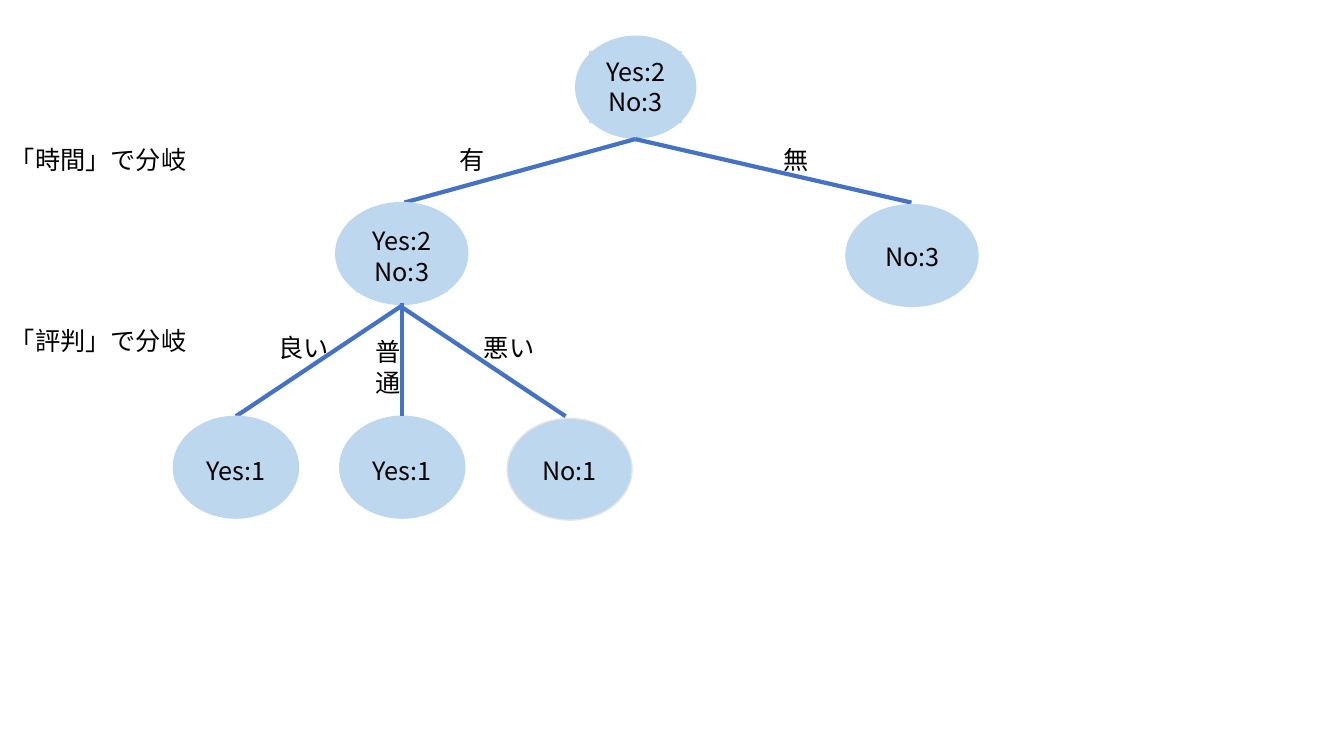
from lxml.etree import SubElement
from pptx import Presentation
from pptx.dml.color import RGBColor
from pptx.enum.shapes import MSO_CONNECTOR as CONN, MSO_SHAPE as SHAPE
from pptx.enum.text import MSO_AUTO_SIZE as FIT, PP_ALIGN as ALIGN
from pptx.oxml.ns import qn
from pptx.util import Emu, Pt

PX = 9144


def px(*lengths):
    return [Emu(n * PX) for n in lengths]


def rgb(value):
    return RGBColor.from_string(value)


class TreeSlide:
    """Draws decision tree elements on one slide in a shared style."""

    font, size, ink = "Noto Sans CJK JP", 18, "000000"
    node_color, branch_color = "BDD7EE", "4472C4"

    def __init__(self, prs):
        self.s = prs.slides.add_slide(prs.slide_layouts[6])

    def paint(self, sp, fill, line, width):
        if fill:
            sp.fill.solid()
            sp.fill.fore_color.rgb = rgb(fill)
        if line:
            sp.line.color.rgb = rgb(line)
            sp.line.width = Pt(width)

    def text(self, box, lines, align=ALIGN.LEFT, shapes=None):
        sp = (shapes or self.s.shapes).add_textbox(*px(*box))
        tf = sp.text_frame
        tf.word_wrap = True
        tf.auto_size = FIT.SHAPE_TO_FIT_TEXT
        tf.text = "\n".join(lines)
        for p in tf.paragraphs:
            p.alignment = align
            p.font.size = Pt(self.size)
            p.font.color.rgb = rgb(self.ink)
            p.font.name = self.font
            SubElement(p.font._element, qn("a:ea")).set("typeface", self.font)
        return sp

    def node(self, box, label_box, lines, outline="BDD7EE",
             label_fill="BDD7EE", label_line="BDD7EE"):
        shapes = self.s.shapes.add_group_shape().shapes
        oval = shapes.add_shape(SHAPE.OVAL, *px(*box))
        oval.shadow.inherit = False
        self.paint(oval, self.node_color, outline, 1)
        label = self.text(label_box, lines, ALIGN.CENTER, shapes)
        self.paint(label, label_fill, label_line, 0.75)

    def branch(self, start, end):
        c = self.s.shapes.add_connector(CONN.STRAIGHT, *px(*start, *end))
        c.line.color.rgb = rgb(self.branch_color)
        c.line.width = Pt(3)
        SubElement(c._element.spPr, qn("a:effectLst"))


def main():
    prs = Presentation()
    prs.slide_width, prs.slide_height = px(1333, 750)
    tree = TreeSlide(prs)

    tree.node((571, 36, 119, 101), (585, 51, 91, 71), ["Yes:2", "No:3"],
              label_fill=None)
    for end in [(401, 201), (904, 201)]:
        tree.branch((630, 138), end)

    tree.node((333, 201, 131, 101), (353, 219, 91, 71), ["Yes:2", "No:3"],
              label_line=None)
    tree.node((839, 203, 131, 101), (856, 234, 98, 40), ["No:3"])
    tree.branch((399, 303), (234, 413))

    for top, feature in [(138, "時間"), (318, "評判")]:
        tree.text((0, top, 201, 40), [f"「{feature}」で分岐"])

    for left in (172, 337):
        tree.node((left, 413, 124, 101), (left + 16, 447, 92, 40), ["Yes:1"])
    tree.node((503, 415, 124, 101), (519, 447, 92, 40), ["No:1"],
              outline="E7E6E6", label_fill=None, label_line=None)
    tree.branch((396, 303), (561, 413))
    tree.branch((399, 301), (399, 413))

    for box, value in [
        ((446, 138, 51, 40), "有"),
        ((767, 138, 51, 40), "無"),
        ((266, 325, 72, 40), "良い"),
        ((363, 329, 51, 71), "普通"),
        ((470, 325, 71, 40), "悪い"),
    ]:
        tree.text(box, [value])

    prs.save("out.pptx")


if __name__ == "__main__":
    main()
